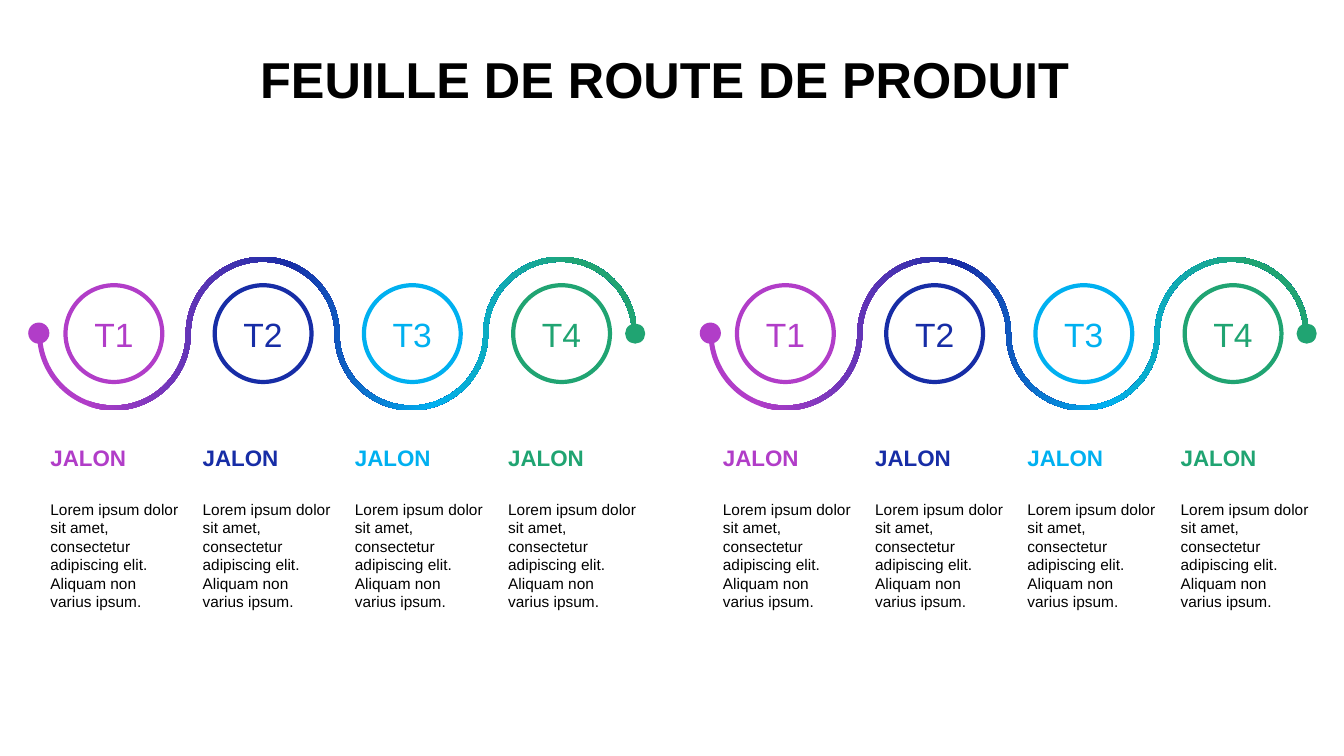
import copy

from lxml import etree
from pptx import Presentation
from pptx import util as u
from pptx.dml.color import RGBColor
from pptx.enum import shapes, text
from pptx.oxml.ns import qn

PX = u.Inches(1) // 100
PURPLE, NAVY, SKY, GREEN = "B13DC8", "172DA6", "00B0F0", "20A472"
QUARTER_COLORS = [PURPLE, NAVY, SKY, GREEN]
WAVE_STOPS = [0.08, 0.42, 0.66, 0.90]
DESCRIPTION = ("Lorem ipsum dolor sit amet, consectetur adipiscing elit. "
               "Aliquam non varius ipsum.")
AXIS_Y = 331
WAVE_PITCH = 147.5
WAVE_HALF_WIDTH = 2.5
ARC_HANDLE = 0.55  # Bézier handle length of a quarter circle, in radii

prs = Presentation()
prs.slide_width, prs.slide_height = u.Inches(13.33), u.Inches(7.5)
slide = prs.slides.add_slide(prs.slide_layouts[6])


def add_oval(left, top, size, fill):
    oval = slide.shapes.add_shape(shapes.MSO_SHAPE.OVAL, left * PX, top * PX,
                                  size * PX, size * PX)
    oval.shadow.inherit = False
    oval.fill.solid()
    oval.fill.fore_color.rgb = RGBColor.from_string(fill)
    oval.line.fill.background()
    return oval


def add_text(box, words, size, color, bold=False, spacing=1.0, align=text.PP_ALIGN.LEFT):
    """Place words in a new text box at box, given as left, top, width, height."""
    frame = slide.shapes.add_textbox(*(length * PX for length in box)).text_frame
    frame.word_wrap = True
    frame.margin_left = frame.margin_right = 0
    paragraph = frame.paragraphs[0]
    paragraph.text = words
    paragraph.alignment = align
    paragraph.line_spacing = spacing
    paragraph.font.name = "Arial"
    paragraph.font.size = u.Pt(size)
    paragraph.font.bold = bold
    paragraph.font.color.rgb = RGBColor.from_string(color)


for shift in (0, 666):
    # Half circles alternate below and above the axis; each is two quarter-circle curves.
    edges = []
    for offset in (WAVE_HALF_WIDTH, -WAVE_HALF_WIDTH):
        edge = []
        for quarter in range(len(QUARTER_COLORS)):
            center = shift + 113 + quarter * WAVE_PITCH
            side = -1 if quarter % 2 else 1
            radius = WAVE_PITCH / 2 + side * offset
            arc = [(-1, 0), (-1, ARC_HANDLE), (-ARC_HANDLE, 1), (0, 1),
                   (ARC_HANDLE, 1), (1, ARC_HANDLE), (1, 0)]
            edge += [((center + radius * x) * PX, (AXIS_Y + side * radius * y) * PX)
                     for x, y in arc[1 if edge else 0:]]
        edges.append(edge)
    lower_edge, upper_edge = edges
    outline = lower_edge + upper_edge[::-1]
    builder = slide.shapes.build_freeform(*outline[0])
    builder.add_line_segments(outline[1:], close=True)
    wave = builder.convert_to_shape()

    segments = list(wave.element.iter(qn("a:lnTo")))
    edge_steps = len(lower_edge) - 1
    for edge_start in (0, edge_steps + 1):
        for first in range(edge_start, edge_start + edge_steps, 3):
            curve = etree.Element(qn("a:cubicBezTo"))
            segments[first].addprevious(curve)
            for segment in segments[first:first + 3]:
                curve.append(segment[0])
                segment.getparent().remove(segment)

    wave.shadow.inherit = False
    wave.line.fill.background()
    wave.fill.gradient()
    wave.fill.gradient_angle = 0
    stop_list = next(wave.element.iter(qn("a:gsLst")))
    while len(stop_list) < len(WAVE_STOPS):
        stop_list.append(copy.deepcopy(stop_list[0]))
    for stop, position, color in zip(wave.fill.gradient_stops, WAVE_STOPS, QUARTER_COLORS):
        stop.position = position
        stop.color.rgb = RGBColor.from_string(color)

    for quarter, color in enumerate(QUARTER_COLORS):
        circle = add_oval(shift + 65 + quarter * 148, 283, 96, "FFFFFF")
        circle.line.color.rgb = RGBColor.from_string(color)
        circle.line.width = u.Pt(3)
        circle.text_frame.vertical_anchor = text.MSO_ANCHOR.MIDDLE
        label = circle.text_frame.paragraphs[0]
        label.text = f"T{quarter + 1}"
        label.alignment = text.PP_ALIGN.CENTER
        label.font.name = "Arial"
        label.font.size = u.Pt(24)
        label.font.color.rgb = RGBColor.from_string(color)

    add_oval(shift + 28, 320, 21, PURPLE)
    add_oval(shift + 620, 321, 20, GREEN)

for shift in (0, 667):
    for quarter, color in enumerate(QUARTER_COLORS):
        column = shift + 50 + round(quarter * 151.2)
        add_text((column, 439, 129, 33), "JALON", 16, color, bold=True, spacing=0.9)
        add_text((column, 491, 129, 129), DESCRIPTION, 11, "000000")

add_text((25, 50, 1283, 69), "FEUILLE DE ROUTE DE PRODUIT ", 36, "000000",
         bold=True, spacing=0.9, align=text.PP_ALIGN.CENTER)

prs.save("out.pptx")
